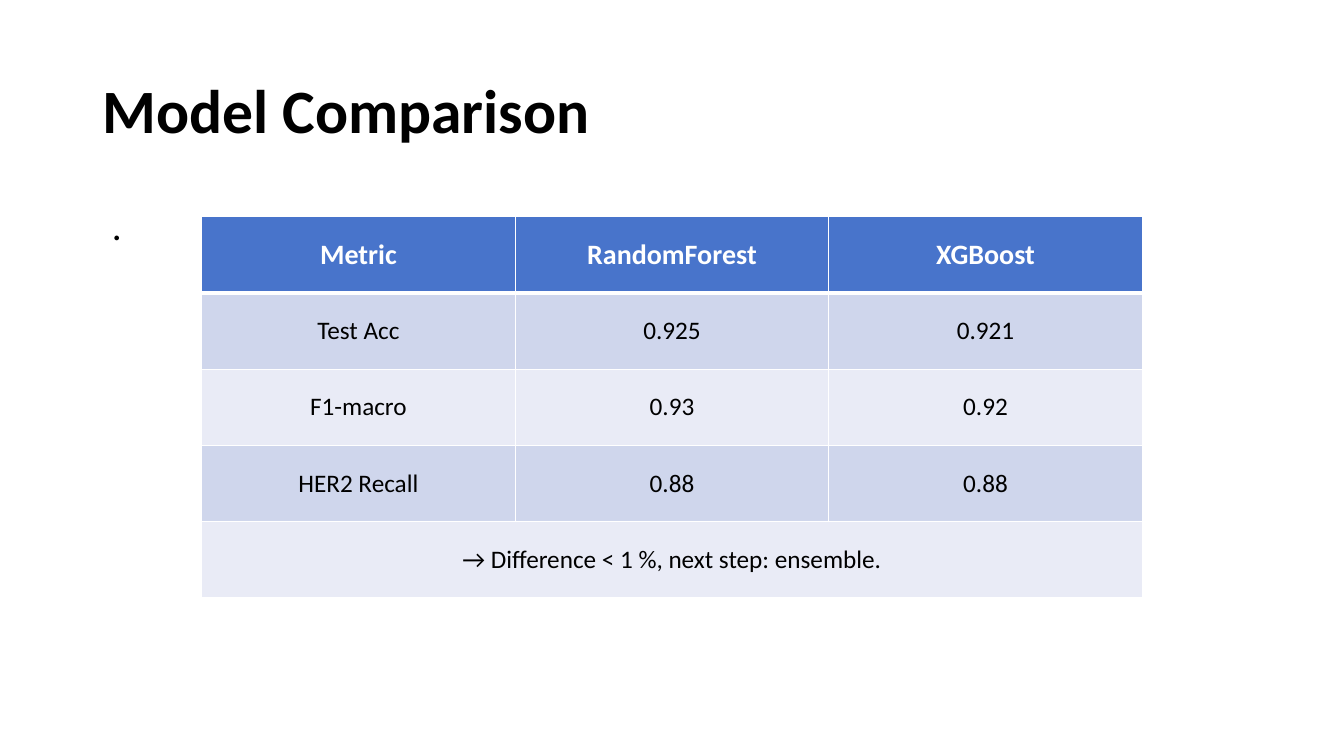
from pptx import Presentation
from pptx import util as u
from pptx.dml.color import RGBColor
from pptx.enum import text
from pptx.oxml import parse_xml
from pptx.oxml.ns import nsdecls

theme = {
    "font": "Calibri",
    "ink": "000000", "paper": "FFFFFF", "header": "4874CB",
    "bands": ("CFD6EC", "E9EBF6"),
    "title": 44, "body": 28, "head": 20, "cell": 18,
    "rule": 1, "head_rule": 3,
}


def write(frame, words, size, color, bold=False, **layout):
    frame.word_wrap = True
    paragraph = frame.paragraphs[0]
    for name, value in layout.items():
        setattr(paragraph, name, value)
    run = paragraph.add_run()
    run.text = words
    look = {"name": theme["font"], "size": u.Pt(size), "bold": bold}
    for name, value in look.items():
        setattr(run.font, name, value)
    run.font.color.rgb = RGBColor.from_string(color)


def style_cell(cell, fill, rules):
    properties = cell._tc.get_or_add_tcPr()
    for side, width in rules.items():
        properties.append(parse_xml(
            f'<a:ln{side} {nsdecls("a")} w="{u.Pt(width)}"><a:solidFill>'
            f'<a:srgbClr val="{theme["paper"]}"/></a:solidFill></a:ln{side}>'))
    cell.fill.solid()
    cell.fill.fore_color.rgb = RGBColor.from_string(fill)
    cell.vertical_anchor = text.MSO_ANCHOR.MIDDLE


deck = Presentation()
deck.slide_width, deck.slide_height = u.Inches(13.33), u.Inches(7.5)
slide = deck.slides.add_slide(deck.slide_layouts[6])
margin, content_width = u.Inches(0.92), u.Inches(11.5)

# Title
heading = slide.shapes.add_textbox(margin, u.Inches(0.4), content_width, u.Inches(1.45)).text_frame
heading.vertical_anchor = text.MSO_ANCHOR.MIDDLE
write(heading, "Model Comparison", theme["title"], theme["ink"], True, line_spacing=0.9)

# Body text
body = slide.shapes.add_textbox(margin, u.Inches(2), content_width, u.Inches(4.76)).text_frame
body.margin_left = u.Inches(0.19)
write(body, ".", theme["body"], theme["ink"], line_spacing=0.9)

# Metrics table
metrics = [
    ("Metric", "RandomForest", "XGBoost"),
    ("Test Acc", "0.925", "0.921"),
    ("F1-macro", "0.93", "0.92"),
    ("HER2 Recall", "0.88", "0.88"),
    ("→ Difference < 1 %, next step: ensemble.",),
]
row_count, column_count = len(metrics), len(metrics[0])
column_width, row_height = u.Inches(3.11), u.Inches(0.756)
comparison = slide.shapes.add_table(
    row_count, column_count, u.Inches(2), u.Inches(2.15),
    column_width * column_count, row_height * row_count).table
for column in comparison.columns:
    column.width = column_width

# The conclusion spans the last row
last = row_count - 1
comparison.cell(last, 0).merge(comparison.cell(last, column_count - 1))

for r, values in enumerate(metrics):
    is_head = r == 0
    fill = theme["header"] if is_head else theme["bands"][(r - 1) % 2]
    rules = dict.fromkeys("LRTB", theme["rule"])
    if r < 2:
        rules["B" if is_head else "T"] = theme["head_rule"]
    for c in range(column_count):
        style_cell(comparison.cell(r, c), fill, rules)
    for c, value in enumerate(values):
        write(comparison.cell(r, c).text_frame, value,
              theme["head" if is_head else "cell"],
              theme["paper" if is_head else "ink"], is_head,
              alignment=text.PP_ALIGN.CENTER)

deck.save("out.pptx")
